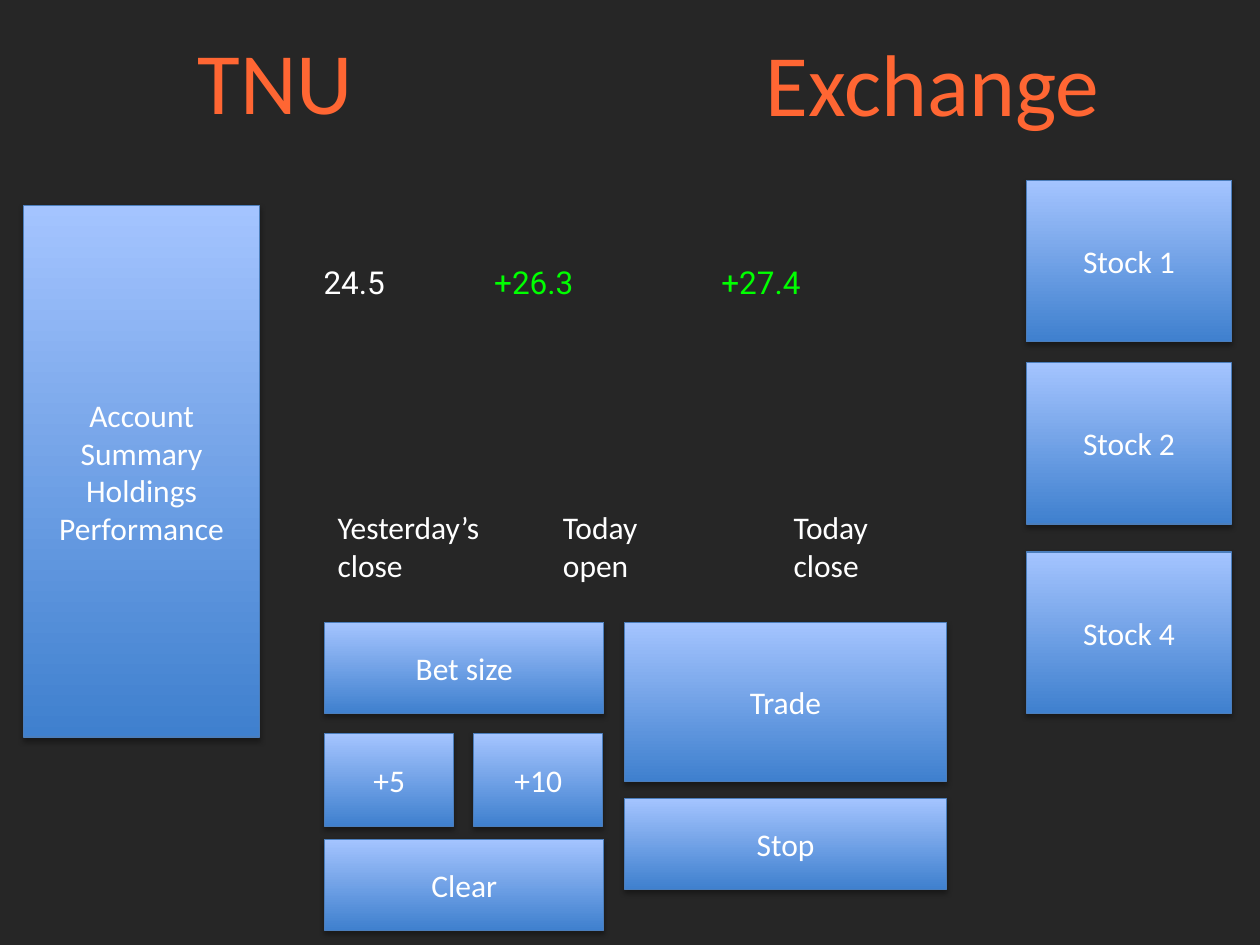
"""Build the trading screen slide of the TNU Exchange."""
from lxml.etree import SubElement
from pptx import Presentation
from pptx.dml.color import RGBColor
from pptx.enum.shapes import MSO_SHAPE as Shape
from pptx.enum.text import MSO_ANCHOR as Anchor, MSO_AUTO_SIZE as AutoSize, PP_ALIGN as Align
from pptx.oxml.ns import qn
from pptx.util import Pt


def rgb(value):
    return RGBColor.from_string(value)


class Screen:
    font, size = "Calibri", 18
    white, orange, green, dark = "FFFFFF", "FF6633", "00FF00", "262626"
    gradient, outline = ("3F80CE", "A4C4FF"), "4B7EBC"

    def __init__(self, slide):
        self.slide = slide

    def style(self, font, size=None, color=white, name=None):
        font.name = name or self.font
        font.size = Pt(size or self.size)
        font.color.rgb = rgb(color)

    def shadow(self, shape):
        shape.shadow.inherit = False
        effects = shape._element.spPr.find(qn("a:effectLst"))
        outer = SubElement(effects, qn("a:outerShdw"), blurRad=str(Pt(3.1)),
                           dist=str(Pt(1.8)), dir="5400000", rotWithShape="0")
        color = SubElement(outer, qn("a:srgbClr"), val="000000")
        SubElement(color, qn("a:alpha"), val="35000")

    def rectangle(self, left, top, width, height):
        shape = self.slide.shapes.add_shape(
            Shape.RECTANGLE, Pt(left), Pt(top), Pt(width), Pt(height))
        self.shadow(shape)
        return shape

    def backdrop(self, width, height):
        shape = self.rectangle(0, 0, width, height)
        shape.fill.solid()
        shape.fill.fore_color.rgb = rgb(self.dark)
        shape.line.fill.background()

    def button(self, text, left, top, width, height):
        shape = self.rectangle(left, top, width, height)
        shape.fill.gradient()
        shape.fill.gradient_angle = 90
        for stop, color in zip(shape.fill.gradient_stops, self.gradient):
            stop.color.rgb = rgb(color)
        shape.line.color.rgb = rgb(self.outline)
        shape.line.width = Pt(0.75)
        frame = shape.text_frame
        frame.word_wrap = True
        frame.vertical_anchor = Anchor.MIDDLE
        frame.text = text
        for para in frame.paragraphs:
            para.alignment = Align.CENTER
            self.style(para.font)

    def text_box(self, left, top, width, height):
        box = self.slide.shapes.add_textbox(Pt(left), Pt(top), Pt(width), Pt(height))
        box.text_frame.word_wrap = True
        box.text_frame.auto_size = AutoSize.SHAPE_TO_FIT_TEXT
        return box.text_frame.paragraphs[0]

    def label(self, text, left, top, width, height, **style):
        para = self.text_box(left, top, width, height)
        para.text = text
        self.style(para.font, **style)

    def prices(self, spans, tabs, left, top, width, height):
        para = self.text_box(left, top, width, height)
        stops = SubElement(para._p.get_or_add_pPr(), qn("a:tabLst"))
        for position in tabs:
            SubElement(stops, qn("a:tab"), pos=str(Pt(position)), algn="l")
        for text, color in spans:
            span = para.add_run()
            span.text = text
            self.style(span.font, color=color, name="Roboto")


deck = Presentation()
deck.slide_width, deck.slide_height = Pt(720), Pt(540)
screen = Screen(deck.slides.add_slide(deck.slide_layouts[6]))
screen.backdrop(720, 540)

for title, left, top, width in (("TNU", 105.8, 12.2, 204.5), ("Exchange", 430.6, 13, 253.4)):
    screen.label(title, left, top, width, 67.7, size=50, color=screen.orange)

for stock, top in (("Stock 1", 103), ("Stock 2", 207.2), ("Stock 4", 315.4)):
    screen.button(stock, 586.5, top, 117.4, 92.3)

screen.button("Account Summary\nHoldings\nPerformance", 13.5, 117.4, 134.8, 303.8)

bet_left, trade_left, row_top = 185.6, 357, 355.7
bet_width, trade_width, step_width, row_height = 159.4, 183.8, 73.6, 52
screen.button("Bet size", bet_left, row_top, bet_width, row_height)
for number, step in enumerate(("+5", "+10")):
    screen.button(step, bet_left + number * 85.2, 419.3, step_width, 53)
screen.button("Trade", trade_left, row_top, trade_width, 90.8)
screen.button("Stop", trade_left, 456.3, trade_width, row_height)
screen.button("Clear", bet_left, 479.7, bet_width, row_height)

for caption, left, width in (("Yesterday’s close", 185.8, 123.8),
                             ("Today open", 314.6, 85), ("Today close", 446.4, 85)):
    screen.label(caption, left, 286.6, width, 51)

screen.prices((("24.5\t", screen.white), ("+26.3\t+27.4", screen.green)),
              (97.5, 227.3), 177.8, 146.9, 339.8, 28.8)

deck.save("out.pptx")
